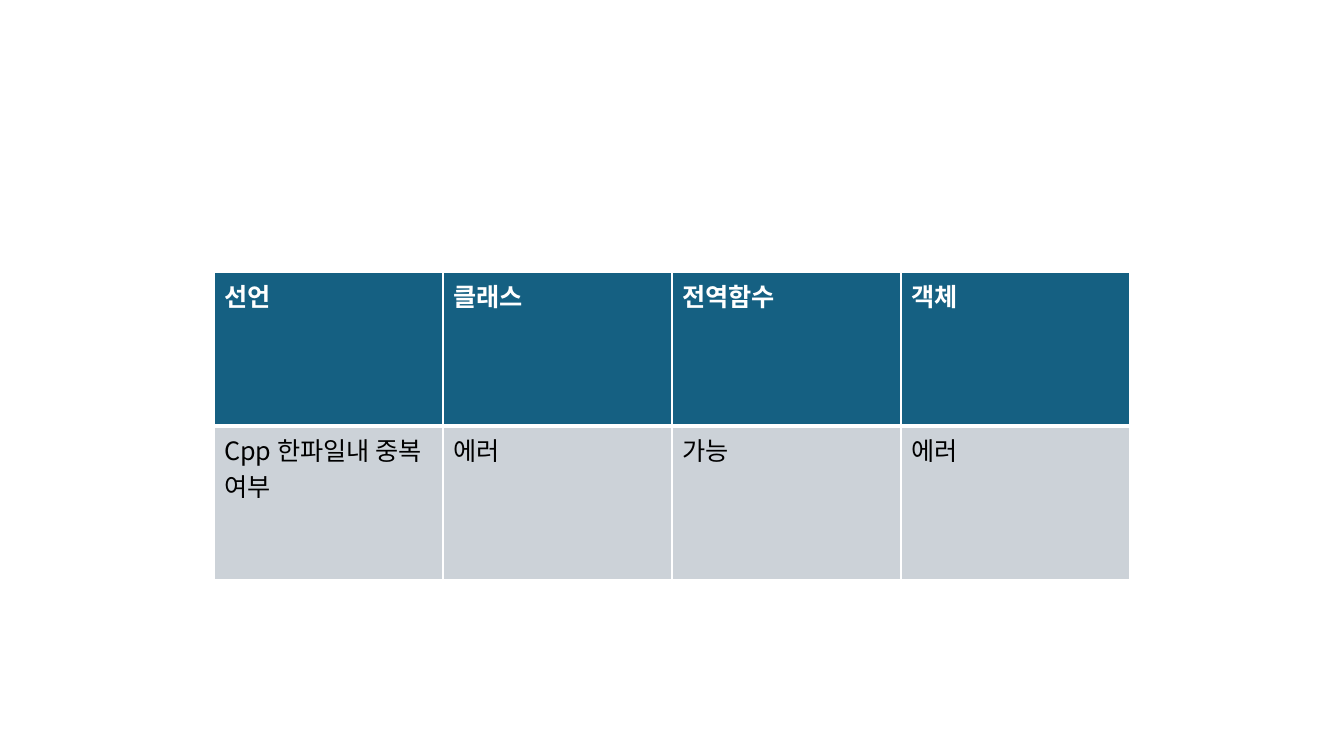
import pptx
import pptx.dml.color
import pptx.oxml
import pptx.oxml.ns
import pptx.util

EMU_PER_INCH = 914400
PX_PER_INCH = 100.8
FONT = "Noto Sans CJK KR"
WHITE = "FFFFFF"
BLACK = "000000"
HEADER_FILL = "156082"
BODY_FILL = "CCD2D8"

# Each cell is a list of paragraphs
ROWS = [
    [["선언"], ["클래스"], ["전역함수"], ["객체"]],
    [["Cpp 한파일내 중복", "여부"], ["에러"], ["가능"], ["에러"]],
]


def px(length):
    return pptx.util.Emu(round(length * EMU_PER_INCH / PX_PER_INCH))


def color(value):
    return pptx.dml.color.RGBColor.from_string(value)


def add_span(para, text, font_color, bold):
    span = para.add_run()
    span.text = text
    span.font.size = pptx.util.Pt(18)
    span.font.name = FONT
    span.font.bold = bold
    span.font.color.rgb = color(font_color)
    # Korean text takes the East Asian typeface
    east_asian = pptx.oxml.parse_xml(
        f'<a:ea {pptx.oxml.ns.nsdecls("a")} typeface="{FONT}"/>')
    span.font._element.append(east_asian)


def set_borders(cell, widths):
    properties = cell._tc.get_or_add_tcPr()
    for side, width in widths.items():
        properties.append(pptx.oxml.parse_xml(
            f'<a:ln{side} {pptx.oxml.ns.nsdecls("a")} w="{pptx.util.Pt(width)}">'
            f'<a:solidFill><a:srgbClr val="{WHITE}"/></a:solidFill></a:ln{side}>'))


def fill_cell(cell, lines, header):
    # The heavier line divides the header from the body
    set_borders(cell, {"L": 1, "R": 1,
                       "T": 1 if header else 3,
                       "B": 3 if header else 1})
    cell.fill.solid()
    cell.fill.fore_color.rgb = color(HEADER_FILL if header else BODY_FILL)
    frame = cell.text_frame
    for index, line in enumerate(lines):
        para = frame.add_paragraph() if index else frame.paragraphs[0]
        add_span(para, line, WHITE if header else BLACK, header)


def add_grid(page, left, top, column_width, row_height, rows):
    columns = len(rows[0])
    table = page.shapes.add_table(
        len(rows), columns, px(left), px(top),
        px(column_width * columns), px(row_height * len(rows))).table
    table.horz_banding = False
    for column in table.columns:
        column.width = px(column_width)
    for row_index, row in enumerate(rows):
        table.rows[row_index].height = px(row_height)
        for column_index, lines in enumerate(row):
            fill_cell(table.cell(row_index, column_index), lines, row_index == 0)


def main():
    deck = pptx.Presentation()
    deck.slide_width = px(1344)
    deck.slide_height = px(756)
    page = deck.slides.add_slide(deck.slide_layouts[6])

    # Duplicate declaration table
    add_grid(page, 214, 272, 229, 154, ROWS)

    deck.save("out.pptx")


if __name__ == "__main__":
    main()
